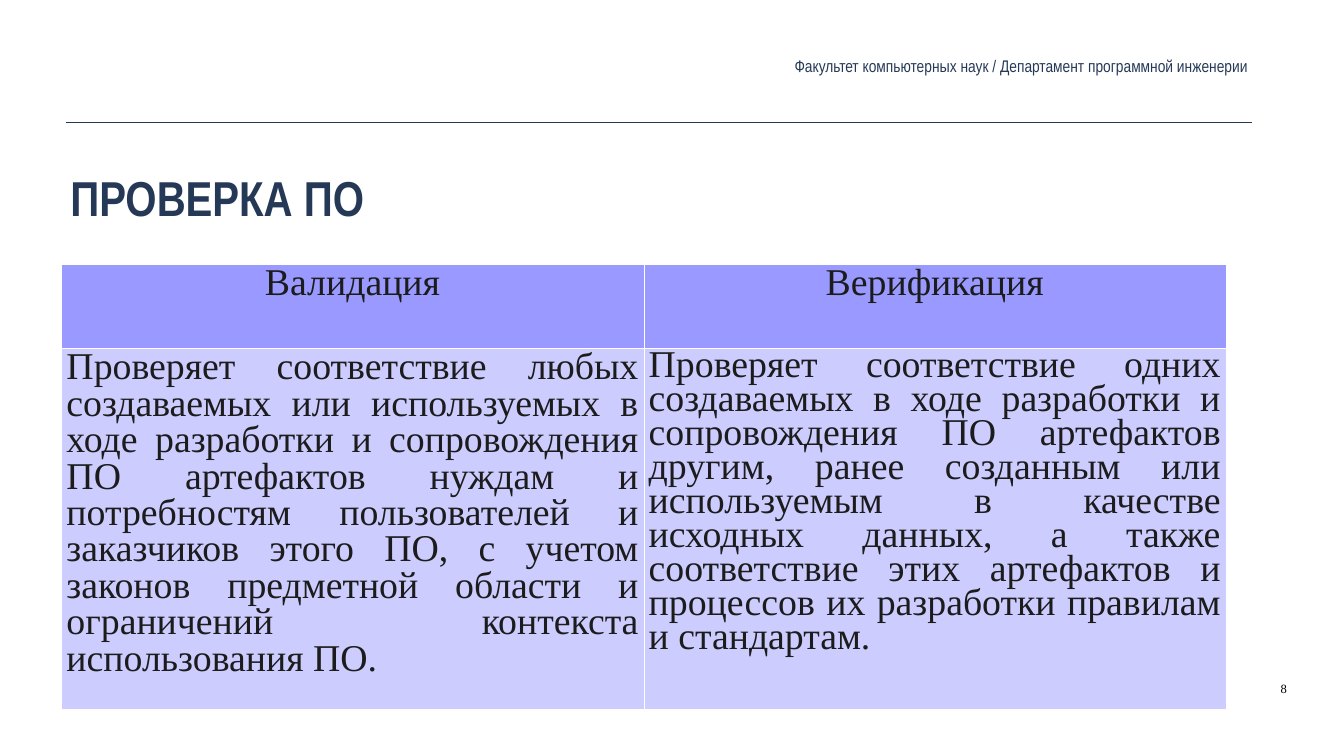
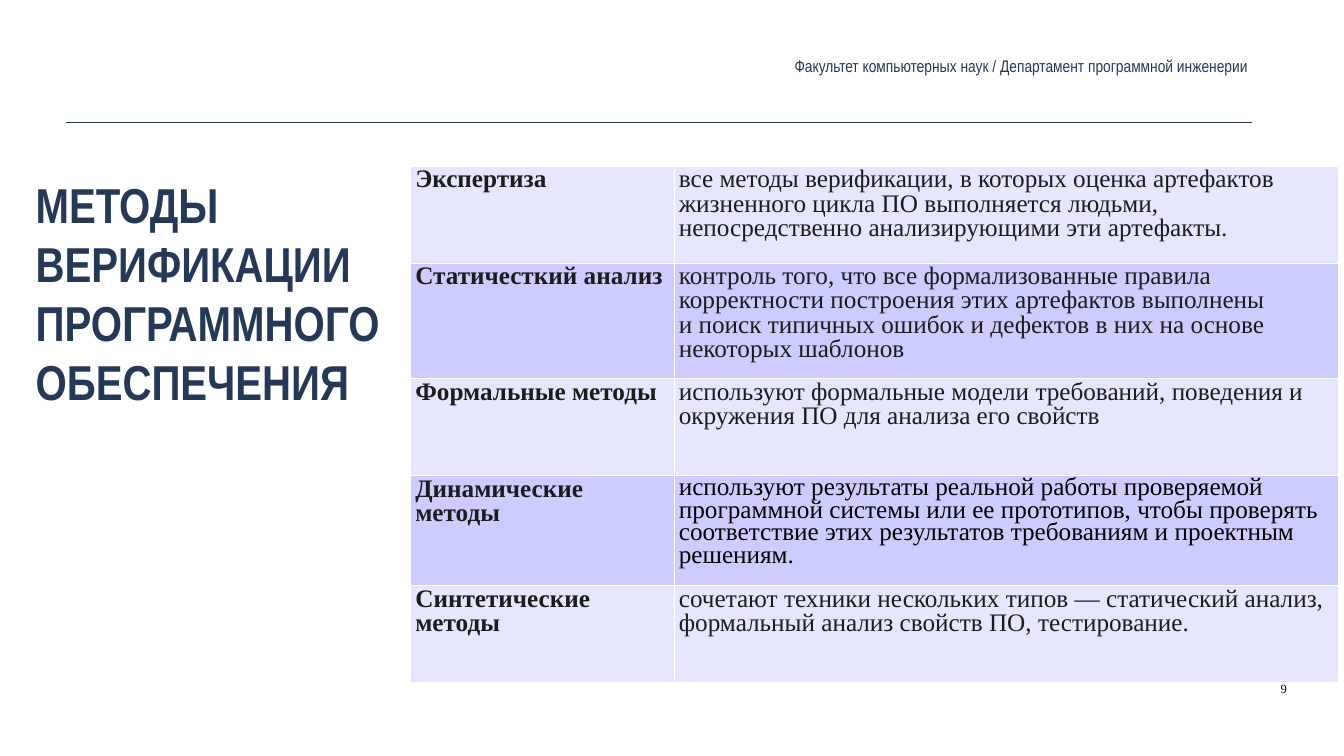
from lxml import etree
from pptx import Presentation
from pptx import util as u
from pptx.dml.color import RGBColor
from pptx.enum import shapes, text
from pptx.oxml import ns

COLORS = {
    "navy": "253957",
    "ink": "1C1C1C",
    "black": "000000",
    "white": "FFFFFF",
    "heading": "9999FF",
    "lilac": "CCCCFF",
    "pale": "E6E6FF",
}
SANS = "Arial Narrow"
SERIF = "Times New Roman"
ALIGN = text.PP_ALIGN

TITLE = {"name": SANS, "size": u.Pt(70), "bold": True, "color": "navy"}
DEPARTMENT = {"name": SANS, "size": u.Pt(24), "color": "navy"}
PAGE = {"name": SERIF, "size": u.Pt(18), "color": "black"}
COMPARISON = {"name": SERIF, "size": u.Pt(54), "color": "ink"}
METHOD = {"name": SERIF, "size": u.Pt(36), "bold": False, "color": "ink"}

SLIDE_SIZE = (67.73, 38.1)
RULE = (3.33, 6.15, 63.07)
DEPARTMENT_BOX = (31.5, 2.62, 31.57, 1.42)
PAGE_BOX = (64.29, 34.21, 9.53, 0.94)

NORMAL, TIGHT = 0.87, 0.81

VALIDATION = (
    "Проверяет соответствие любых создаваемых или используемых в ходе разработки "
    "и сопровождения ПО артефактов нуждам и потребностям пользователей и заказчиков "
    "этого ПО, с учетом законов предметной области и ограничений контекста "
    "использования ПО."
)
VERIFICATION = (
    "Проверяет соответствие одних создаваемых в ходе разработки и сопровождения ПО "
    "артефактов другим, ранее созданным или используемым в качестве исходных данных, "
    "а также соответствие этих артефактов и процессов их разработки правилам и "
    "стандартам."
)
METHODS = [
    ("Экспертиза", [
        "все методы верификации, в которых оценка артефактов жизненного цикла ПО "
        "выполняется людьми, непосредственно анализирующими эти артефакты."], {}),
    ("Статичесткий анализ", [
        "контроль того, что все формализованные правила корректности построения "
        "этих артефактов выполнены",
        "и поиск типичных ошибок и дефектов в них на основе некоторых шаблонов"], {}),
    ("Формальные методы", [
        "используют формальные модели требований, поведения и окружения ПО для "
        "анализа его свойств"], {}),
    ("Динамические методы", [
        "используют результаты реальной работы проверяемой программной системы или "
        "ее прототипов, чтобы проверять соответствие этих результатов требованиям и "
        "проектным решениям."], {"color": "black"}),
    ("Синтетические методы", [
        "сочетают техники нескольких типов — статический анализ, формальный анализ "
        "свойств ПО, тестирование."], {}),
]


def rgb(name):
    return RGBColor.from_string(COLORS[name])


def apply(target, values):
    for key, value in values.items():
        if key == "color":
            target.color.rgb = rgb(value)
        else:
            setattr(target, key, value)


def margins(horizontal, vertical):
    return {
        "margin_left": u.Cm(horizontal), "margin_right": u.Cm(horizontal),
        "margin_top": u.Cm(vertical), "margin_bottom": u.Cm(vertical),
    }


def write(frame, lines, font, paragraph_format):
    for index, line in enumerate(lines):
        paragraph = frame.add_paragraph() if index else frame.paragraphs[0]
        apply(paragraph, paragraph_format)
        run = paragraph.add_run()
        run.text = line
        apply(run.font, font)


def add_label(slide, box, lines, font, frame_format, alignment=ALIGN.LEFT):
    frame = slide.shapes.add_textbox(*map(u.Cm, box)).text_frame
    apply(frame, {"word_wrap": True, **frame_format})
    write(frame, lines, font, {"alignment": alignment})


def add_borders(cell):
    properties = cell._tc.get_or_add_tcPr()
    for index, side in enumerate(("lnL", "lnR", "lnT", "lnB")):
        border = etree.Element(ns.qn(f"a:{side}"), w=str(u.Pt(0.06)))
        fill = etree.SubElement(border, ns.qn("a:solidFill"))
        etree.SubElement(fill, ns.qn("a:srgbClr"), val=COLORS["white"])
        properties.insert(index, border)


def add_grid(slide, corner, widths, heights):
    size = (sum(widths), sum(heights))
    grid = slide.shapes.add_table(
        len(heights), len(widths), *map(u.Cm, corner + size)).table
    apply(grid, {"first_row": False, "horz_banding": False})
    for column, width in zip(grid.columns, widths):
        column.width = u.Cm(width)
    for row, height in zip(grid.rows, heights):
        row.height = u.Cm(height)
    return grid


def fill_cell(cell, lines, font, background, spacing=NORMAL, alignment=ALIGN.LEFT):
    apply(cell, margins(0.25, 0.13))
    cell.fill.solid()
    cell.fill.fore_color.rgb = rgb(background)
    add_borders(cell)
    write(cell.text_frame, lines, font,
          {"line_spacing": spacing, "alignment": alignment})


def add_header(slide, rule, box):
    left, top, right = map(u.Cm, rule)
    divider = slide.shapes.add_connector(
        shapes.MSO_CONNECTOR.STRAIGHT, left, top, right, top)
    apply(divider.line, {"color": "navy", "width": u.Pt(1)})
    etree.SubElement(divider._element.spPr, ns.qn("a:effectLst"))
    add_label(
        slide, box,
        ["Факультет компьютерных наук / Департамент программной инженерии"],
        DEPARTMENT,
        {**margins(0.2, 0.2), "vertical_anchor": text.MSO_ANCHOR.MIDDLE,
         "auto_size": text.MSO_AUTO_SIZE.SHAPE_TO_FIT_TEXT},
        ALIGN.RIGHT)


def add_frame(deck, page, title_corner, title_lines):
    slide = deck.slides.add_slide(deck.slide_layouts[6])
    add_header(slide, RULE, DEPARTMENT_BOX)
    add_label(slide, title_corner + (59.51, 4.39), title_lines, TITLE, margins(0.2, 0.2))
    add_label(slide, PAGE_BOX, [str(page)], PAGE, margins(0.25, 0.13))
    return slide


def add_comparison(slide, corner):
    grid = add_grid(slide, corner, [29.34] * 2, [4.24, 17.27])
    columns = [("Валидация", VALIDATION, NORMAL),
               ("Верификация", VERIFICATION, TIGHT)]
    for column, (heading, body, spacing) in enumerate(columns):
        fill_cell(grid.cell(0, column), [heading], COMPARISON, "heading",
                  alignment=ALIGN.CENTER)
        fill_cell(grid.cell(1, column), [body], COMPARISON, "lilac",
                  spacing, ALIGN.JUSTIFY)


def add_methods(slide, corner):
    grid = add_grid(slide, corner, [13.28, 33.48], [4.88, 5.82, 4.88, 5.56, 4.88])
    for row, (method, description, accent) in enumerate(METHODS):
        background = "lilac" if row % 2 else "pale"
        fill_cell(grid.cell(row, 0), [method], {**METHOD, "bold": True}, background)
        fill_cell(grid.cell(row, 1), description, {**METHOD, **accent}, background,
                  TIGHT if accent else NORMAL)


def main():
    deck = Presentation()
    deck.slide_width, deck.slide_height = map(u.Cm, SLIDE_SIZE)
    checking = add_frame(deck, 8, (3.35, 8.26), ["ПРОВЕРКА ПО"])
    add_comparison(checking, (3.1, 13.31))
    methods = add_frame(deck, 9, (1.6, 8.61),
                        ["МЕТОДЫ", "ВЕРИФИКАЦИИ", "ПРОГРАММНОГО", "ОБЕСПЕЧЕНИЯ"])
    add_methods(methods, (20.68, 8.36))
    deck.save("out.pptx")


if __name__ == "__main__":
    main()
